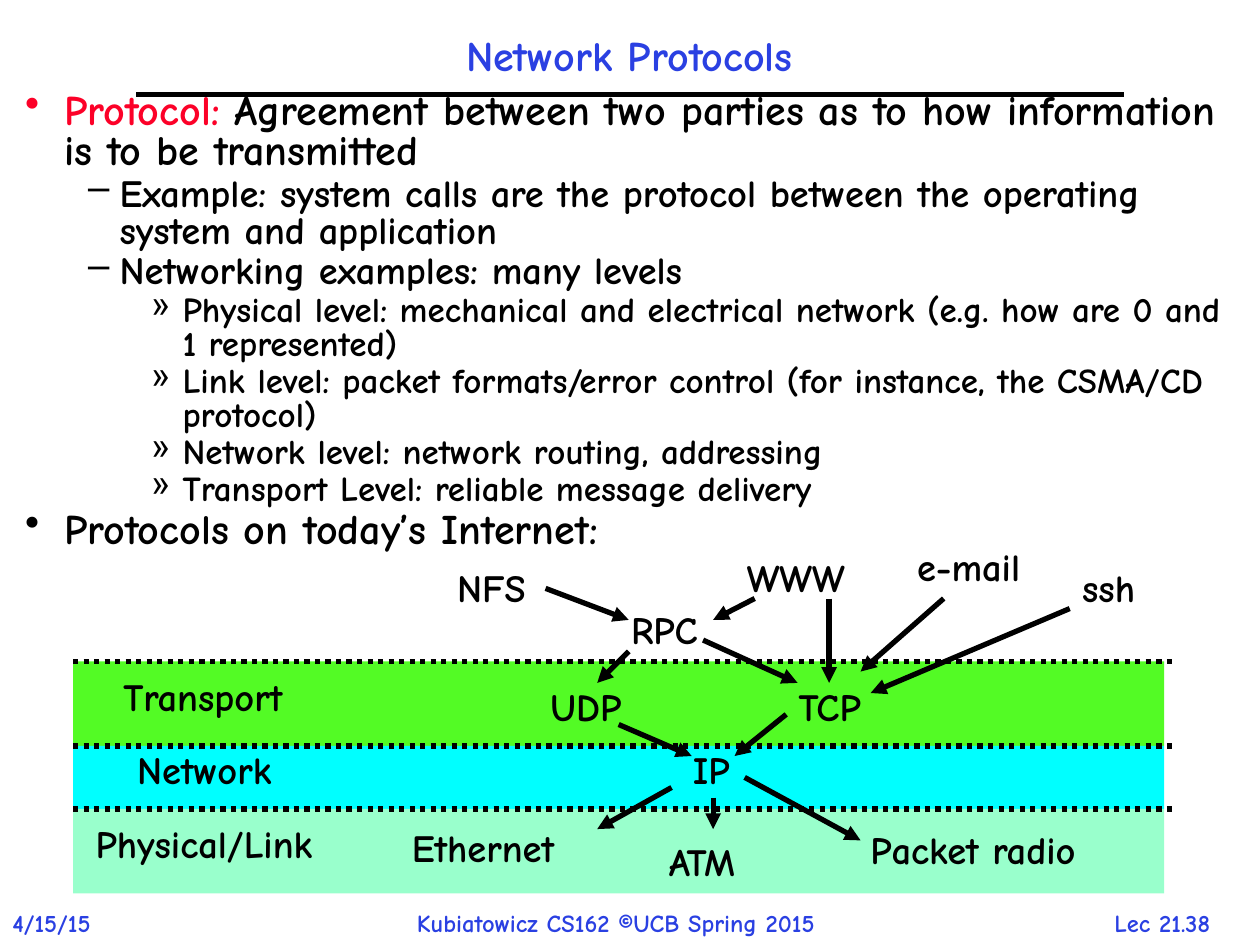
from dataclasses import dataclass

from lxml import etree
from pptx import Presentation
from pptx.dml.color import RGBColor
from pptx.enum.dml import MSO_LINE
from pptx.enum.shapes import MSO_CONNECTOR, MSO_SHAPE
from pptx.enum.text import MSO_ANCHOR, MSO_AUTO_SIZE, PP_ALIGN
from pptx.oxml.ns import qn
from pptx.util import Pt

PX = 9144
FONT = "Comic Neue"
BLACK = RGBColor(0x00, 0x00, 0x00)
BLUE = RGBColor(0x2A, 0x40, 0xE2)
RED = RGBColor(0xFC, 0x01, 0x28)
GREEN = RGBColor(0x53, 0xFB, 0x25)
CYAN = RGBColor(0x00, 0xFF, 0xFF)
MINT = RGBColor(0x99, 0xFF, 0xCC)
STRAIGHT = MSO_CONNECTOR.STRAIGHT
RECTANGLE = MSO_SHAPE.RECTANGLE
DOTTED = MSO_LINE.ROUND_DOT
MIDDLE = MSO_ANCHOR.MIDDLE
NO_AUTOFIT = MSO_AUTO_SIZE.NONE
GROW = MSO_AUTO_SIZE.SHAPE_TO_FIT_TEXT
LEFT, CENTER = PP_ALIGN.LEFT, PP_ALIGN.CENTER


@dataclass(frozen=True)
class Level:
    bullet: str
    size: int
    margin: int
    hanging: int


@dataclass(frozen=True)
class Point:
    level: Level
    text: str
    term: str = ""


@dataclass(frozen=True)
class Label:
    text: str
    left: int
    top: int
    width: int


@dataclass(frozen=True)
class Layer:
    top: int
    height: int
    color: RGBColor


@dataclass(frozen=True)
class Line:
    x1: int
    y1: int
    x2: int
    y2: int


MAIN = Level("•", 24, 31, 31)
SUB = Level("–", 22, 75, 25)
DETAIL = Level("»", 20, 125, 25)

POINTS = [
    Point(MAIN, " Agreement between two parties as to how information is to be transmitted", "Protocol:"),
    Point(SUB, "Example: system calls are the protocol between the operating system and application"),
    Point(SUB, "Networking examples: many levels"),
    Point(DETAIL, "Physical level: mechanical and electrical network (e.g. how are 0 and 1 represented)"),
    Point(DETAIL, "Link level: packet formats/error control (for instance, the CSMA/CD protocol)"),
    Point(DETAIL, "Network level: network routing, addressing"),
    Point(DETAIL, "Transport Level: reliable message delivery"),
    Point(MAIN, "Protocols on today’s Internet:"),
]
FOOTERS = [
    (Label("4/15/15", 0, 716, 100), LEFT),
    (Label("Kubiatowicz CS162 ©UCB Spring 2015", 321, 716, 387), LEFT),
    (Label("Lec 21.38", 856, 716, 133), CENTER),
]
LAYERS = [Layer(525, 67, GREEN), Layer(592, 50, CYAN), Layer(642, 67, MINT)]
LABELS = [
    Label("Transport", 88, 536, 165),
    Label("Network", 99, 594, 144),
    Label("Physical/Link", 66, 653, 209),
    Label("NFS", 353, 450, 84),
    Label("WWW", 583, 442, 115),
    Label("e-mail", 718, 433, 113),
    Label("ssh", 849, 450, 67),
    Label("RPC", 491, 483, 75),
    Label("UDP", 427, 544, 81),
    Label("TCP", 624, 544, 76),
    Label("IP", 540, 594, 53),
    Label("Ethernet", 317, 656, 150),
    Label("ATM", 521, 667, 90),
    Label("Packet radio", 681, 658, 204),
]
ARROWS = [
    Line(433, 467, 499, 492),
    Line(599, 475, 566, 492),
    Line(658, 475, 658, 542),
    Line(749, 475, 683, 533),
    Line(849, 483, 691, 550),
    Line(499, 517, 474, 542),
    Line(558, 508, 633, 542),
    Line(491, 575, 549, 600),
    Line(624, 567, 583, 600),
    Line(533, 625, 474, 658),
    Line(566, 633, 566, 658),
    Line(591, 617, 683, 667),
]


def style(font, size: int, color: RGBColor) -> None:
    font.name = FONT
    font.size = Pt(size)
    font.bold = True
    font.color.rgb = color


def add_line(slide, line: Line):
    connector = slide.shapes.add_connector(
        STRAIGHT, line.x1 * PX, line.y1 * PX, line.x2 * PX, line.y2 * PX)
    connector.line.color.rgb = BLACK
    connector.line.width = Pt(3)
    etree.SubElement(connector._element.spPr, qn("a:effectLst"))
    return connector


def add_arrow(slide, line: Line) -> None:
    connector = add_line(slide, line)
    etree.SubElement(connector.line._get_or_add_ln(), qn("a:tailEnd"), type="triangle")


def add_layer(slide, layer: Layer) -> None:
    band = slide.shapes.add_shape(
        RECTANGLE, 58 * PX, layer.top * PX, 866 * PX, layer.height * PX)
    band.shadow.inherit = False
    band.fill.solid()
    band.fill.fore_color.rgb = layer.color
    band.line.fill.background()


def add_label(slide, label: Label, height: int, size: int, color: RGBColor,
              align=LEFT, spacing: float = 1.0) -> None:
    frame = slide.shapes.add_textbox(
        label.left * PX, label.top * PX, label.width * PX, height * PX).text_frame
    frame.word_wrap = False
    frame.auto_size = GROW
    paragraph = frame.paragraphs[0]
    paragraph.text = label.text
    paragraph.alignment = align
    paragraph.line_spacing = spacing
    style(paragraph.font, size, color)


def add_points(slide, points: list[Point]) -> None:
    frame = slide.shapes.add_textbox(10 * PX, 69 * PX, 981 * PX, 606 * PX).text_frame
    frame.word_wrap = True
    for index, point in enumerate(points):
        paragraph = frame.add_paragraph() if index else frame.paragraphs[0]
        level = point.level
        paragraph.level = (MAIN, SUB, DETAIL).index(level)
        paragraph.line_spacing = 0.8
        if index:
            paragraph.space_before = Pt(level.size / 10)
        properties = paragraph._p.get_or_add_pPr()
        properties.set("marL", str(level.margin * PX))
        properties.set("indent", str(-level.hanging * PX))
        etree.SubElement(properties, qn("a:buChar"), char=level.bullet)
        style(paragraph.font, level.size, BLACK)
        if point.term:
            term = paragraph.add_run()
            term.text = point.term
            term.font.color.rgb = RED
        paragraph.add_run().text = point.text


def set_title(slide, text: str) -> None:
    title = slide.shapes.title
    title.left, title.top, title.width, title.height = 108 * PX, 17 * PX, 783 * PX, 58 * PX
    frame = title.text_frame
    frame.auto_size = NO_AUTOFIT
    frame.vertical_anchor = MIDDLE
    heading = frame.paragraphs[0]
    heading.text = text
    heading.alignment = CENTER
    heading.line_spacing = 0.9
    style(heading.font, 24, BLUE)


def main() -> None:
    deck = Presentation()
    deck.slide_width, deck.slide_height = 1000 * PX, 750 * PX
    slide = deck.slides.add_slide(deck.slide_layouts[5])
    set_title(slide, "Network Protocols")
    add_line(slide, Line(108, 75, 892, 75))
    for footer, align in FOOTERS:
        add_label(slide, footer, 34, 14, BLUE, align)
    add_points(slide, POINTS)
    for layer in LAYERS:
        add_layer(slide, layer)
    for layer in LAYERS:
        border = add_line(slide, Line(58, layer.top, 933, layer.top))
        border.line.dash_style = DOTTED
    for label in LABELS:
        add_label(slide, label, 39, 22, BLACK, spacing=0.8)
    for arrow in ARROWS:
        add_arrow(slide, arrow)
    deck.save("out.pptx")


if __name__ == "__main__":
    main()
